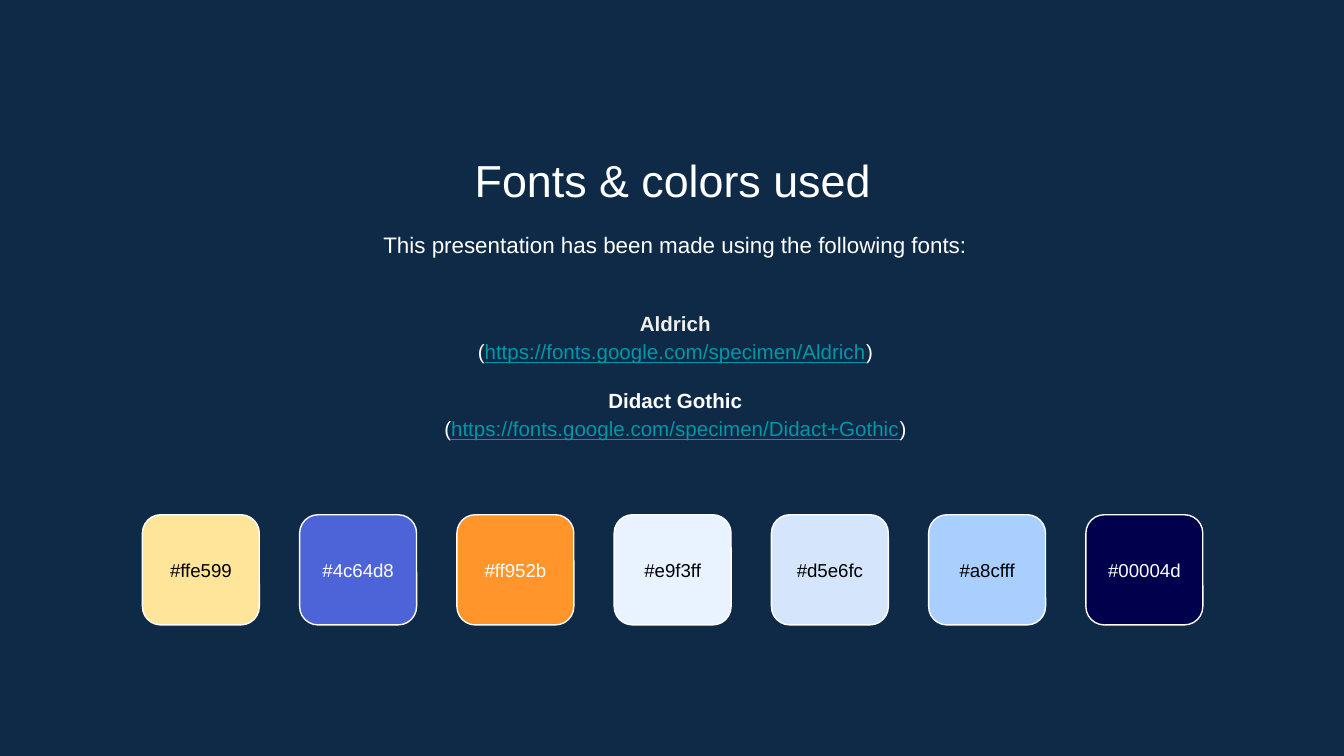
from dataclasses import dataclass

from pptx import Presentation
from pptx.dml.color import RGBColor
from pptx.enum.shapes import MSO_SHAPE
from pptx.enum.text import MSO_ANCHOR, PP_ALIGN
from pptx.util import Inches, Pt

ROUNDED = MSO_SHAPE.ROUNDED_RECTANGLE
CENTER = PP_ALIGN.CENTER
TOP, MIDDLE = MSO_ANCHOR.TOP, MSO_ANCHOR.MIDDLE

FONT = "Arial"
BACKGROUND, WHITE, BLACK = "0E2A47", "FFFFFF", "000000"
PALE, LINK = "EFEFEF", "0097A7"
TEXT_WIDTH = 7.71
SWATCH_LEFT, SWATCH_TOP, SWATCH_PITCH = 1.06, 3.83, 1.17
SWATCH_WIDTH, SWATCH_HEIGHT = 0.87, 0.82
LABEL_TOP, LABEL_HEIGHT = 4.0, 0.48


@dataclass
class Swatch:
    code: str
    text_color: str


@dataclass
class FontSource:
    name: str
    address: str
    name_color: str
    space_before: float


SWATCHES = [
    Swatch("#ffe599", BLACK),
    Swatch("#4c64d8", WHITE),
    Swatch("#ff952b", WHITE),
    Swatch("#e9f3ff", BLACK),
    Swatch("#d5e6fc", BLACK),
    Swatch("#a8cfff", BLACK),
    Swatch("#00004d", WHITE),
]

FONT_SOURCES = [
    FontSource("Aldrich", "https://fonts.google.com/specimen/Aldrich", PALE, 0),
    FontSource("Didact Gothic", "https://fonts.google.com/specimen/Didact+Gothic", WHITE, 11),
]


def color(hex_code: str) -> RGBColor:
    return RGBColor.from_string(hex_code.lstrip("#").upper())


def add_run(paragraph, text: str, size: float, hex_code: str,
            bold: bool = False, underline: bool = False) -> None:
    run = paragraph.add_run()
    run.text = text
    run.font.name = FONT
    run.font.size = Pt(size)
    run.font.bold = bold
    run.font.underline = underline
    run.font.color.rgb = color(hex_code)


def add_text_box(slide, left: float, top: float, width: float, height: float, anchor=TOP):
    box = slide.shapes.add_textbox(Inches(left), Inches(top), Inches(width), Inches(height))
    frame = box.text_frame
    frame.word_wrap = True
    frame.vertical_anchor = anchor
    frame.margin_left = frame.margin_right = Inches(0.1)
    frame.margin_top = frame.margin_bottom = Inches(0.1)
    frame.paragraphs[0].alignment = CENTER
    return frame


def add_font_list(slide, sources: list[FontSource]) -> None:
    frame = add_text_box(slide, 1.17, 2.1, TEXT_WIDTH, 1.37, MIDDLE)
    for index, source in enumerate(sources):
        name = frame.add_paragraph() if index else frame.paragraphs[0]
        name.space_before = Pt(source.space_before)
        add_run(name, source.name, 11, source.name_color, bold=True)
        address = frame.add_paragraph()
        add_run(address, "(", 11, WHITE)
        add_run(address, source.address, 11, LINK, underline=True)
        add_run(address, ")", 11, WHITE)
    for paragraph in frame.paragraphs:
        paragraph.alignment = CENTER
        paragraph.line_spacing = 1.15


def add_swatch(slide, swatch: Swatch, left: float) -> None:
    shape = slide.shapes.add_shape(ROUNDED, Inches(left), Inches(SWATCH_TOP),
                                   Inches(SWATCH_WIDTH), Inches(SWATCH_HEIGHT))
    shape.shadow.inherit = False
    shape.fill.solid()
    shape.fill.fore_color.rgb = color(swatch.code)
    shape.line.color.rgb = color(WHITE)
    shape.line.width = Pt(0.75)
    label = add_text_box(slide, left, LABEL_TOP, SWATCH_WIDTH, LABEL_HEIGHT, MIDDLE)
    add_run(label.paragraphs[0], swatch.code, 10, swatch.text_color)


def main() -> None:
    presentation = Presentation()
    # Widescreen, 16:9
    presentation.slide_width = Inches(10)
    presentation.slide_height = Inches(10) * 9 // 16
    slide = presentation.slides.add_slide(presentation.slide_layouts[6])
    slide.background.fill.solid()
    slide.background.fill.fore_color.rgb = color(BACKGROUND)

    # Row of color swatches
    for index, swatch in enumerate(SWATCHES):
        add_swatch(slide, swatch, SWATCH_LEFT + index * SWATCH_PITCH)

    # Title and introduction
    title = add_text_box(slide, 1.15, 1.04, TEXT_WIDTH, 0.53)
    add_run(title.paragraphs[0], "Fonts & colors used", 24, WHITE)
    introduction = add_text_box(slide, 1.17, 1.59, TEXT_WIDTH, 0.48)
    introduction.paragraphs[0].line_spacing = 1.15
    add_run(introduction.paragraphs[0],
            "This presentation has been made using the following fonts:", 12, WHITE)

    # Fonts with their addresses
    add_font_list(slide, FONT_SOURCES)

    presentation.save("out.pptx")


if __name__ == "__main__":
    main()
